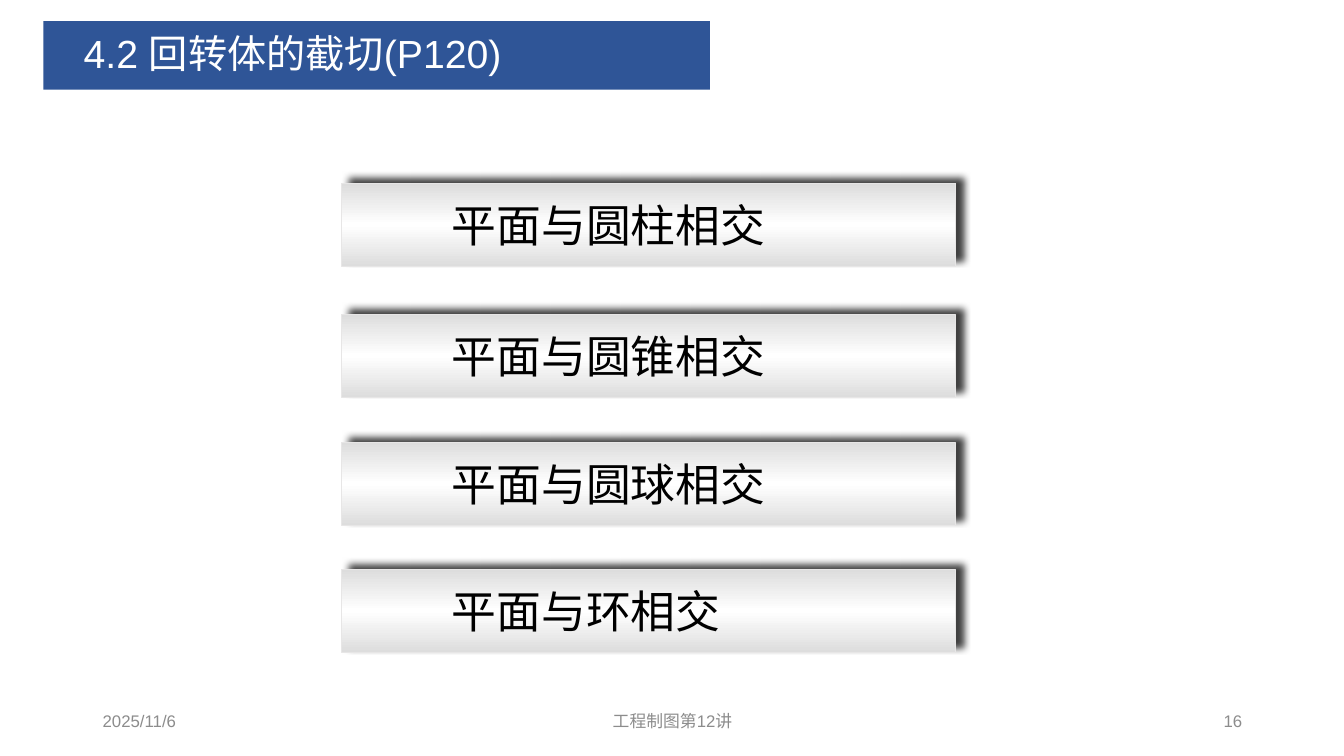
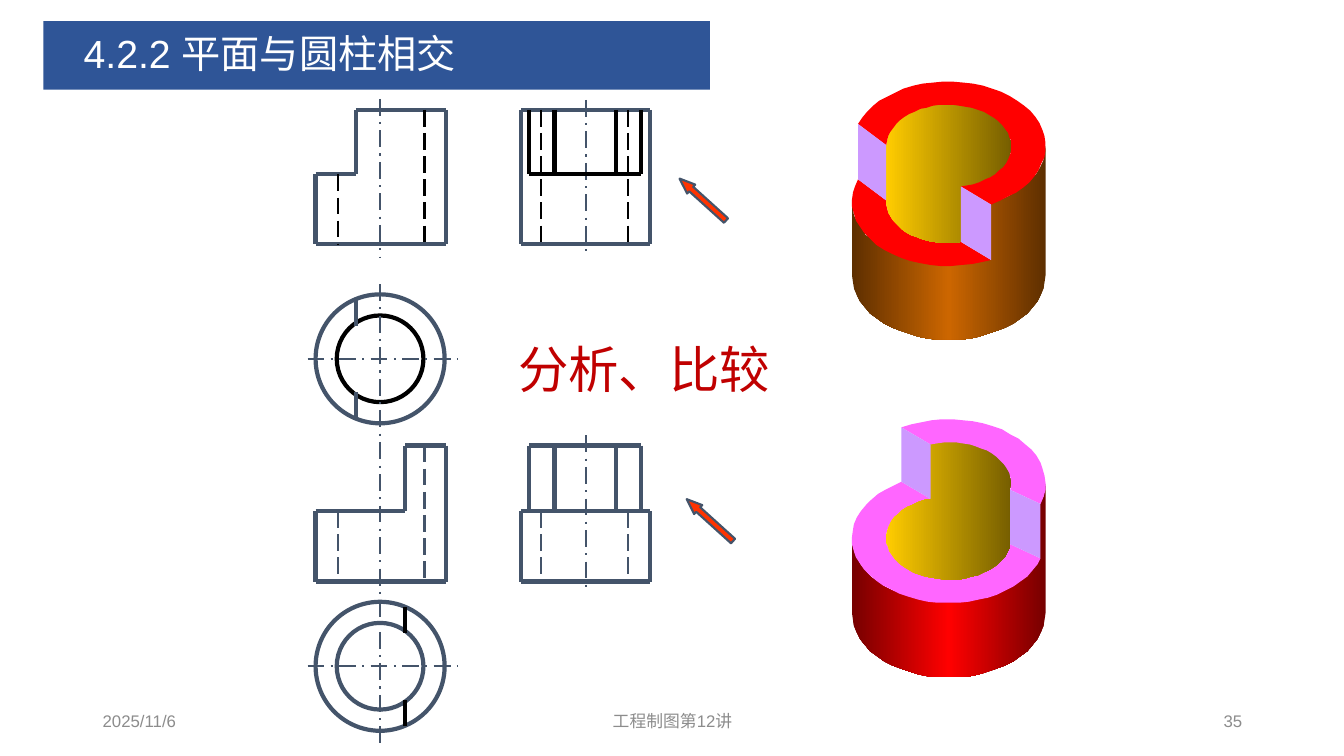
from copy import deepcopy
from math import cos, radians, sin

from lxml import etree
from pptx import Presentation
from pptx.dml.color import RGBColor
from pptx.enum.dml import MSO_LINE
from pptx.enum.shapes import MSO_CONNECTOR, MSO_SHAPE
from pptx.enum.text import MSO_ANCHOR, MSO_AUTO_SIZE, PP_ALIGN
from pptx.oxml import parse_xml
from pptx.oxml.ns import nsdecls, qn
from pptx.util import Pt

PX = 9144  # 100 px to the inch
LATIN, CJK = "Arial", "Noto Sans CJK SC"
LEFT, CENTER, RIGHT = PP_ALIGN.LEFT, PP_ALIGN.CENTER, PP_ALIGN.RIGHT
MIDDLE, NO_AUTOFIT = MSO_ANCHOR.MIDDLE, MSO_AUTO_SIZE.NONE
STRAIGHT = MSO_CONNECTOR.STRAIGHT
OVAL, BUTTON, ARROW = MSO_SHAPE.OVAL, MSO_SHAPE.ACTION_BUTTON_CUSTOM, MSO_SHAPE.LEFT_ARROW
SOLID, DASH, DASH_DOT = MSO_LINE.SOLID, MSO_LINE.LONG_DASH, MSO_LINE.LONG_DASH_DOT

BLUE, SLATE, BLACK, WHITE, GREY = "2F5597", "44546A", "000000", "FFFFFF", "8C8C8C"
RED, PINK, LILAC = "FF0000", "FF66FF", "CC99FF"
BRONZE = ["5E2F00", "CC6600", "5E2F00"]
CRIMSON = ["760000", "FF0000", "760000"]
GOLD = ["FFCC00", "765E00"]
SILVER = ["DDDDDD", "FFFFFF", "DDDDDD"]

rgb = RGBColor.from_string


def write(shape, text, size=12, color=BLACK, font=LATIN, align=LEFT, indent=0,
          spacing=1.0, wrap=True):
    frame = shape.text_frame
    frame.auto_size = NO_AUTOFIT
    frame.word_wrap = wrap
    frame.vertical_anchor = MIDDLE
    paragraph = frame.paragraphs[0]
    paragraph.alignment = align
    paragraph.line_spacing = spacing
    if indent:
        properties = paragraph._p.get_or_add_pPr()
        properties.set("marL", str(indent * PX))
        properties.set("indent", "0")
    run = paragraph.add_run()
    run.text = text
    run.font.size = Pt(size)
    run.font.bold = False
    run.font.color.rgb = rgb(color)
    run.font.name = font
    latin = run._r.rPr.find(qn("a:latin"))
    latin.addnext(parse_xml(f'<a:ea {nsdecls("a")} typeface="{CJK}"/>'))
    return run


def paint(shape, colors=None, angle=0, line=None, width=0):
    """Fill with nothing, one colour, or an even gradient of several colours."""
    shape.shadow.inherit = False
    if colors is None:
        shape.fill.background()
    elif isinstance(colors, str):
        shape.fill.solid()
        shape.fill.fore_color.rgb = rgb(colors)
    else:
        shape.fill.gradient()
        shape.fill.gradient_angle = angle
        stops = shape._element.spPr.find(qn("a:gradFill")).find(qn("a:gsLst"))
        while len(stops) < len(colors):
            stops.append(deepcopy(stops[-1]))
        for i, stop in enumerate(shape.fill.gradient_stops):
            stop.color.rgb = rgb(colors[i])
            stop.position = i / (len(colors) - 1)
    if line:
        shape.line.color.rgb = rgb(line)
        shape.line.width = Pt(width)
    else:
        shape.line.fill.background()


prs = Presentation()
prs.slide_width, prs.slide_height = 1333 * PX, 750 * PX

# Title band and footer of every slide
slides = []
for heading, number in [("4.2 回转体的截切(P120)", "16"), ("4.2.2 平面与圆柱相交", "35")]:
    slide = prs.slides.add_slide(prs.slide_layouts[5])
    title = slide.shapes.title
    title.left, title.top, title.width, title.height = [v * PX for v in (43, 21, 661, 68)]
    title.fill.solid()
    title.fill.fore_color.rgb = rgb(BLUE)
    write(title, heading, size=28, color=WHITE, indent=30, spacing=0.9)
    for text, left, width, align in [("2025/11/6", 92, 300, LEFT),
                                     ("工程制图第12讲", 442, 450, CENTER),
                                     (number, 942, 300, RIGHT)]:
        footer = slide.shapes.add_textbox(left * PX, 695 * PX, width * PX, 40 * PX)
        write(footer, text, color=GREY, align=align)
    slides.append(slide)
topics_slide, compare_slide = slides

# Topic buttons
for topic, top in [("平面与圆柱相交", 182), ("平面与圆锥相交", 312),
                   ("平面与圆球相交", 439), ("平面与环相交", 565)]:
    button = topics_slide.shapes.add_shape(BUTTON, 339 * PX, top * PX, 609 * PX, 82 * PX)
    paint(button, SILVER, angle=90, line="E7E6E6")
    button._element.spPr.find(qn("a:effectLst")).append(parse_xml(
        f'<a:outerShdw {nsdecls("a")} blurRad="{Pt(5)}" dist="{Pt(6.4)}" dir="{321 * 60000}" '
        'algn="ctr" rotWithShape="0"><a:srgbClr val="000000"><a:alpha val="75000"/>'
        '</a:srgbClr></a:outerShdw>'))
    write(button, topic, size=32, font=CJK, indent=99)

# Three views of each cut cylinder: front and plan on one axis, side view to the right
front_left, front_axis, front_right = 313, 377, 442
side_left, side_axis, side_right = 517, 581, 645
notch_left, notch_right = 525, 636
views = [
    # top, step, base, cut x, plan centre y, body top, notch edge, axis spans, colours
    (109, 173, 242, 353, 356, 109, 173, [(98, 256), (282, 440)], BLACK, BLACK, SLATE),
    (442, 507, 577, 402, 661, 507, 442, [(439, 738)], SLATE, SLATE, BLACK),
]
for (top, step, base, cut, plan, body_top, notch_edge, axis_spans,
     notch_color, hidden_color, cut_color) in views:
    for radius, color in [(64, SLATE), (43, notch_color)]:
        circle = compare_slide.shapes.add_shape(
            OVAL, (front_axis - radius) * PX, (plan - radius) * PX,
            2 * radius * PX, 2 * radius * PX)
        paint(circle, line=color, width=3)

    outline = [
        (front_left, base, front_right, base), (front_left, step, cut, step),
        (cut, top, front_right, top), (front_left, step, front_left, base),
        (cut, top, cut, step), (front_right, top, front_right, base),
        (side_left, body_top, side_right, body_top), (side_left, base, side_right, base),
        (side_left, body_top, side_left, base), (side_right, body_top, side_right, base)]
    hidden = [(335, step, 335, base), (421, top, 421, base)]
    hidden += [(x, body_top, x, base) for x in (537, 623)]
    axes = [(front_axis, start, front_axis, end) for start, end in axis_spans]
    axes += [(side_axis, top - 10, side_axis, base + 9), (305, plan, 454, plan)]
    notch = [(x, top, x, step) for x in (notch_left, 550, 611, notch_right)]
    notch.append((notch_left, notch_edge, notch_right, notch_edge))
    cut_edges = [(cut, plan + side * 59, cut, plan + side * 33) for side in (-1, 1)]

    for color, width, dash, segments in [
            (SLATE, 3, SOLID, outline), (hidden_color, 1.5, DASH, hidden),
            (SLATE, 1.5, DASH_DOT, axes), (notch_color, 3, SOLID, notch),
            (cut_color, 3, SOLID, cut_edges)]:
        for segment in segments:
            edge = compare_slide.shapes.add_connector(STRAIGHT, *[v * PX for v in segment])
            edge.line.color.rgb = rgb(color)
            edge.line.width = Pt(width)
            edge.line.dash_style = dash
            etree.SubElement(edge._element.spPr, qn("a:effectLst"))

# Cut cylinders: faces bounded by arcs (centre y, radii, from angle, to angle)
axis_x = 941
rim, bore = (96, 64), (62, 41)
cylinders = [
    # top, step and base centres, rim angles and bore angles of the cut, colours
    (145, 200, 273, (200, 424), (182, 439), RED, BRONZE),
    (480, 534, 608, (241, 378), (253, 368), PINK, CRIMSON),
]
for top, step, base, (rim_from, rim_to), (bore_from, bore_to), ring, wall in cylinders:
    rim_end, bore_end = rim_to - 360, bore_to - 360
    faces = [
        (wall, [(base, rim, 0, 180), (step, rim, 180, rim_end), (top, rim, rim_end, 0)]),
        (ring, [(step, rim, rim_end, rim_from), (step, bore, bore_from, bore_end)]),
        (GOLD, [(top, bore, bore_from, bore_to), (step, bore, bore_end, bore_from)]),
        (ring, [(top, rim, rim_from, rim_to), (top, bore, bore_to, bore_from)])]
    for rim_angle, bore_angle in [(rim_from, bore_from), (rim_to, bore_to)]:
        faces.append((LILAC, [(y, radii, angle, angle) for y, radii, angle in [
            (top, rim, rim_angle), (top, bore, bore_angle),
            (step, bore, bore_angle), (step, rim, rim_angle)]]))
    for colors, arcs in faces:
        points = []
        for center_y, (rx, ry), start, end in arcs:
            count = max(1, abs(end - start) // 6)
            for i in range(count + 1 if start != end else 1):
                angle = radians(start + (end - start) * i / count)
                points.append((axis_x + rx * cos(angle), center_y + ry * sin(angle)))
        face = compare_slide.shapes.build_freeform(*points[0], scale=PX)
        face.add_line_segments(points[1:], close=True)
        paint(face.convert_to_shape(), colors)

# Caption with a soft text shadow
caption = compare_slide.shapes.add_textbox(504 * PX, 330 * PX, 273 * PX, 71 * PX)
caption_run = write(caption, "分析、比较", size=36, color="C00000", font=CJK, wrap=False)
caption_run._r.rPr.find(qn("a:solidFill")).addnext(parse_xml(
    f'<a:effectLst {nsdecls("a")}><a:outerShdw blurRad="{Pt(3)}" dist="{Pt(3)}" dir="2700000" '
    'algn="tl"><a:srgbClr val="000000"><a:alpha val="43000"/></a:srgbClr>'
    '</a:outerShdw></a:effectLst>'))

# Arrows pointing at the side views
for left, top in [(666, 192), (673, 510)]:
    pointer = compare_slide.shapes.add_shape(ARROW, left * PX, top * PX, 62 * PX, 12 * PX)
    pointer.rotation = 42.1
    pointer.adjustments[0], pointer.adjustments[1] = 0.5, 1.29
    paint(pointer, "FF3300", line=SLATE, width=1.5)

prs.save("out.pptx")
